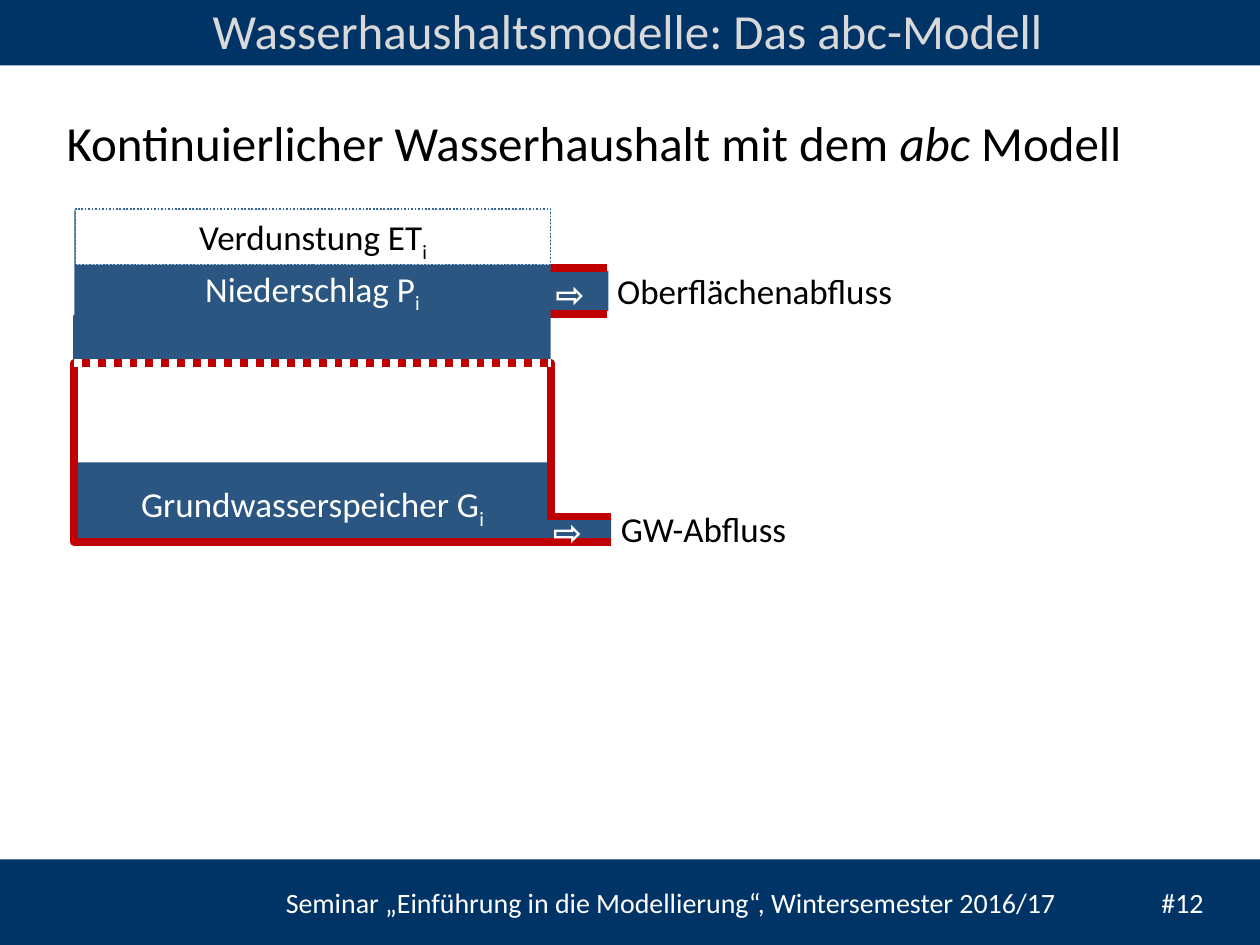
from dataclasses import dataclass

from lxml.etree import SubElement
from pptx import Presentation
from pptx.dml.color import RGBColor
from pptx.enum.dml import MSO_LINE
from pptx.enum.shapes import MSO_CONNECTOR, MSO_SHAPE
from pptx.enum.text import MSO_ANCHOR, PP_ALIGN
from pptx.oxml.ns import qn
from pptx.util import Inches, Pt

FONT = "Calibri"
NAVY, WATER, WALL = "003366", "2B5681", "C00000"
WHITE, BLACK, GREY, BORDER = "FFFFFF", "000000", "D9D9D9", "336699"
WALL_WIDTH = 4.5


@dataclass(frozen=True)
class Box:
    left: float
    top: float
    width: float
    height: float

    def lengths(self):
        return [Inches(v) for v in (self.left, self.top, self.width, self.height)]


@dataclass(frozen=True)
class Run:
    text: str
    italic: bool = False
    subscript: bool = False


@dataclass(frozen=True)
class Pipe:
    water: Box
    wall_left: float
    wall_right: float
    wall_tops: tuple[float, float]
    arrow: Box
    label: str
    label_box: Box


SURFACE_PIPE = Pipe(Box(3.96, 2.15, 0.87, 0.32), 4.31, 4.82, (2.13, 2.49),
                    Box(4.31, 2.11, 1.1, 0.44),
                    "Oberflächenabfluss", Box(4.8, 2.09, 2.57, 0.44))
GROUNDWATER_PIPE = Pipe(Box(3.94, 4.11, 0.91, 0.16), 4.34, 4.85, (4.1, 4.3),
                        Box(4.29, 4.0, 1.1, 0.44),
                        "GW-Abfluss", Box(4.83, 3.98, 2.45, 0.44))


def rgb(value: str) -> RGBColor:
    return RGBColor.from_string(value)


def write(sp, *runs: Run | str, size=20, color=BLACK, bold=False,
          align=PP_ALIGN.LEFT, anchor=MSO_ANCHOR.TOP):
    """Fill the first paragraph of a shape with formatted runs."""
    tf = sp.text_frame
    tf.word_wrap = True
    tf.vertical_anchor = anchor
    p = tf.paragraphs[0]
    p.alignment = align
    for run in runs:
        run = Run(run) if isinstance(run, str) else run
        r = p.add_run()
        r.text = run.text
        r.font.name, r.font.size = FONT, Pt(size)
        r.font.bold, r.font.italic = bold, run.italic
        r.font.color.rgb = rgb(color)
        if run.subscript:
            r.font._element.set("baseline", "-25000")
    return p


def add_text(s, box: Box, *runs: Run | str, **fmt):
    return write(s.shapes.add_textbox(*box.lengths()), *runs, **fmt)


def add_rect(s, box: Box, fill=None, line=None, width=1.0, dash=None):
    sp = s.shapes.add_shape(MSO_SHAPE.RECTANGLE, *box.lengths())
    sp.shadow.inherit = False
    if fill:
        sp.fill.solid()
        sp.fill.fore_color.rgb = rgb(fill)
    else:
        sp.fill.background()
    if line:
        sp.line.color.rgb = rgb(line)
        sp.line.width = Pt(width)
        sp.line.dash_style = dash
    else:
        sp.line.fill.background()
    return sp


def add_level_line(s, left: float, right: float, y: float, color: str, dash=None):
    line = s.shapes.add_connector(MSO_CONNECTOR.STRAIGHT, Inches(left), Inches(y),
                                  Inches(right), Inches(y))
    line.line.color.rgb = rgb(color)
    line.line.width = Pt(WALL_WIDTH)
    line.line.dash_style = dash
    SubElement(line._element.spPr, qn("a:effectLst"))


def add_pipe(s, pipe: Pipe):
    add_rect(s, pipe.water, WATER)
    for y in pipe.wall_tops:
        add_level_line(s, pipe.wall_left, pipe.wall_right, y, WALL)
    add_text(s, pipe.label_box, pipe.label)
    add_text(s, pipe.arrow, "⇨", color=WHITE, bold=True)


def add_tab_stop(p, position: float):
    tabs = SubElement(p._p.get_or_add_pPr(), qn("a:tabLst"))
    SubElement(tabs, qn("a:tab"), pos=str(Inches(position)), algn="l")


def add_frame(s):
    """Draw the header and footer bands with their texts."""
    add_rect(s, Box(0, 0, 10, 0.52), NAVY)
    add_rect(s, Box(0, 6.82, 10, 0.68), NAVY)
    footer = add_text(s, Box(2.17, 6.98, 7.83, 0.37),
                      "Seminar „Einführung in die Modellierung“, "
                      "Wintersemester 2016/17\t#12", size=16, color=WHITE)
    add_tab_stop(footer, 6.95)
    add_text(s, Box(0, -0.02, 9.96, 0.52), "Wasserhaushaltsmodelle: Das abc-Modell",
             size=28, color=GREY, align=PP_ALIGN.CENTER, anchor=MSO_ANCHOR.MIDDLE)
    add_text(s, Box(0.43, 0.84, 8.98, 0.57), "Kontinuierlicher Wasserhaushalt mit dem ",
             Run("abc", italic=True), " Modell", size=28)


def add_model(s):
    """Draw precipitation, evaporation and groundwater store with both outflows."""
    index = Run("i", subscript=True)
    on_water = dict(color=WHITE, align=PP_ALIGN.CENTER)
    add_pipe(s, SURFACE_PIPE)

    add_rect(s, Box(0.59, 3.67, 3.78, 0.63), WATER)
    add_text(s, Box(0.59, 3.78, 3.78, 0.44), "Grundwasserspeicher G", index, **on_water)

    add_rect(s, Box(0.59, 1.67, 3.78, 1.18), WATER)
    add_text(s, Box(0.59, 2.07, 3.78, 0.44), "Niederschlag P", index, **on_water)
    evaporation = add_rect(s, Box(0.6, 1.66, 3.77, 0.44), WHITE, BORDER,
                           dash=MSO_LINE.ROUND_DOT)
    write(evaporation, "Verdunstung ET", index, align=PP_ALIGN.CENTER)
    add_rect(s, Box(0.59, 2.51, 3.77, 0.35), WATER, WATER)

    add_rect(s, Box(0.59, 2.88, 3.78, 1.42), line=WALL, width=WALL_WIDTH)
    add_level_line(s, 0.59, 4.37, 2.88, WHITE, MSO_LINE.ROUND_DOT)
    add_pipe(s, GROUNDWATER_PIPE)


def main():
    prs = Presentation()
    prs.slide_width, prs.slide_height = Inches(10), Inches(7.5)
    s = prs.slides.add_slide(prs.slide_layouts[6])
    add_frame(s)
    add_model(s)
    prs.save("out.pptx")


if __name__ == "__main__":
    main()
